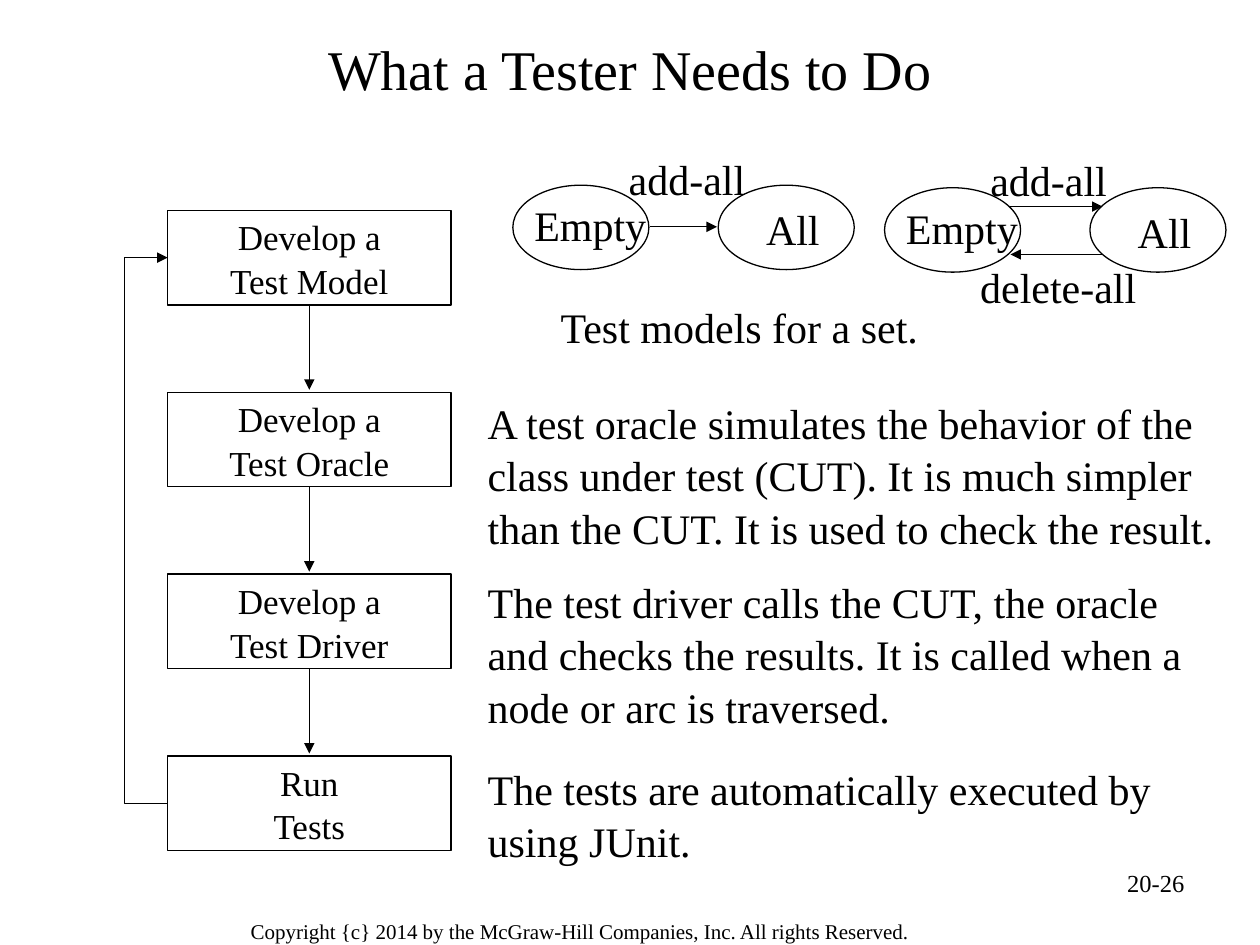
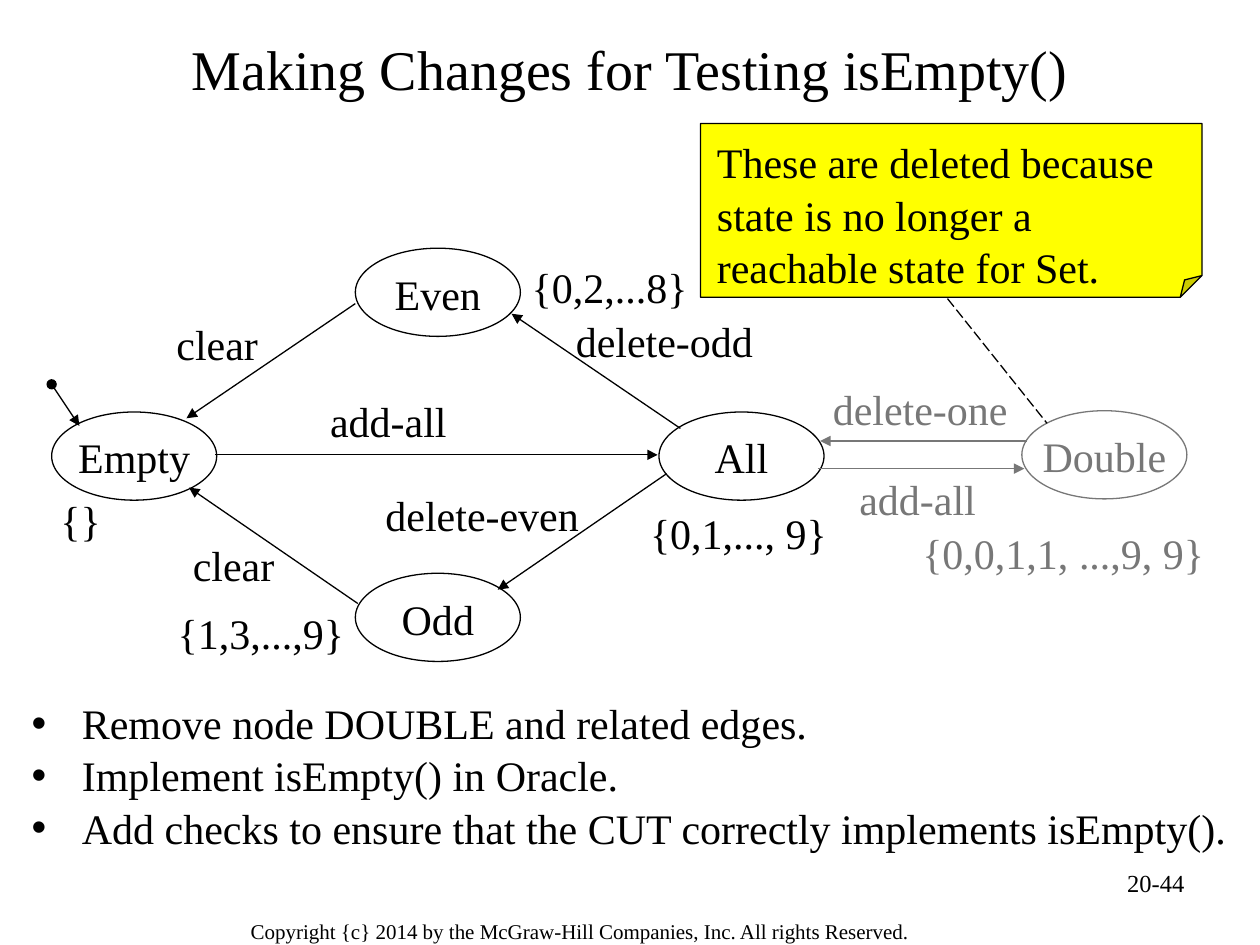
from dataclasses import dataclass

from lxml import etree
from pptx import Presentation
from pptx.dml.color import RGBColor
from pptx.enum import dml, shapes, text
from pptx.oxml import ns
from pptx.util import Inches, Pt


@dataclass(frozen=True)
class Theme:
    font: str = "Times New Roman"
    ink: str = "000000"
    muted: str = "777777"
    note: str = "FFFF00"
    title: int = 32
    body: int = 24
    step: int = 20
    number: int = 14
    copyright: int = 12
    line: float = 0.75
    spacing: float = 1.04


THEME = Theme()
SHAPE = shapes.MSO_SHAPE
LEFT, CENTER, RIGHT = text.PP_ALIGN.LEFT, text.PP_ALIGN.CENTER, text.PP_ALIGN.RIGHT
TOP, MIDDLE = text.MSO_ANCHOR.TOP, text.MSO_ANCHOR.MIDDLE
PLACEHOLDERS = {"title": 0, "body": 1}


def place(slide, kind, at, lines=(), size=THEME.body, color=THEME.ink, align=LEFT,
          anchor=TOP, insets=(0, 0, 0, 0), wrap=False, fill=None):
    """Put a placeholder, a text box (kind None) or a preset shape on the slide."""
    left, top, width, height = [Inches(length) for length in at]
    if kind in PLACEHOLDERS:
        item = slide.placeholders[PLACEHOLDERS[kind]]
        item.left, item.top, item.width, item.height = left, top, width, height
    elif kind is None:
        item = slide.shapes.add_textbox(left, top, width, height)
    else:
        item = slide.shapes.add_shape(kind, left, top, width, height)
        item.shadow.inherit = False
        item.line.color.rgb = RGBColor.from_string(color)
        item.line.width = Pt(THEME.line)
        if fill:
            item.fill.solid()
            item.fill.fore_color.rgb = RGBColor.from_string(fill)
        else:
            item.fill.background()

    frame = item.text_frame
    margins = dict(zip(("margin_left", "margin_top", "margin_right", "margin_bottom"),
                       [Inches(inset) for inset in insets]))
    settings = dict(margins, word_wrap=wrap, vertical_anchor=anchor,
                    auto_size=text.MSO_AUTO_SIZE.NONE)
    for name, value in settings.items():
        setattr(frame, name, value)

    for index, line in enumerate(lines):
        paragraph = frame.add_paragraph() if index else frame.paragraphs[0]
        for name, value in dict(alignment=align, line_spacing=THEME.spacing,
                                space_before=Pt(0)).items():
            setattr(paragraph, name, value)
        run = paragraph.add_run()
        run.text = line
        for name, value in dict(name=THEME.font, size=Pt(size)).items():
            setattr(run.font, name, value)
        run.font.color.rgb = RGBColor.from_string(color)
    return item


def connect(slide, points, color=THEME.ink, head=None, tail="triangle", dash=None):
    """Draw a connector through two points, or an open outline through more."""
    corners = [(Inches(x), Inches(y)) for x, y in points]
    if len(corners) == 2:
        link = slide.shapes.add_connector(shapes.MSO_CONNECTOR.STRAIGHT,
                                          *corners[0], *corners[1])
        etree.SubElement(link._element.spPr, ns.qn("a:effectLst"))
    else:
        builder = slide.shapes.build_freeform(*corners[0])
        builder.add_line_segments(corners[1:], close=False)
        link = builder.convert_to_shape()
        link.fill.background()
        link.shadow.inherit = False
    link.line.color.rgb = RGBColor.from_string(color)
    link.line.width = Pt(THEME.line)
    if dash:
        link.line.dash_style = dash
    outline = link._element.spPr.find(ns.qn("a:ln"))
    for tag, end in (("a:headEnd", head), ("a:tailEnd", tail)):
        if end:
            etree.SubElement(outline, ns.qn(tag), type=end)


deck = Presentation()
deck.slide_width, deck.slide_height = Inches(10), Inches(7.5)

# Title, page number and copyright line of every slide
pages = []
for layout, title, number in (
    (5, "What a Tester Needs to Do", "20-26"),
    (1, "Making Changes for Testing isEmpty()", "20-44"),
):
    page = deck.slides.add_slide(deck.slide_layouts[layout])
    place(page, "title", (0.5, 0.14, 9, 0.78), [title], size=THEME.title,
          align=CENTER, anchor=MIDDLE, wrap=True)
    place(page, None, (7.17, 6.83, 2.33, 0.52), [number], size=THEME.number,
          align=RIGHT, insets=(0.1, 0.05, 0.1, 0.05), wrap=True)
    place(page, None, (1.88, 7.22, 6.19, 0.31),
          ["Copyright {c} 2014 by the McGraw-Hill Companies, Inc. All rights Reserved."],
          size=THEME.copyright, insets=(0.11, 0.06, 0.11, 0.06))
    pages.append(page)
tester, changes = pages

# Slide 1: the four steps, joined downwards and looped back to the first
steps = [("Develop a", "Test Model"), ("Develop a", "Test Oracle"),
         ("Develop a", "Test Driver"), ("Run", "Tests")]
step_left, step_top, step_width, step_height = 1.33, 1.67, 2.25, 0.75
step_pitch = (6 - step_top) / (len(steps) - 1)
step_middle = step_left + step_width / 2
for index, step in enumerate(steps):
    top = step_top + index * step_pitch
    place(tester, SHAPE.RECTANGLE, (step_left, top, step_width, step_height), step,
          size=THEME.step, align=CENTER, anchor=MIDDLE)
    if index:
        connect(tester, [(step_middle, top - step_pitch + step_height),
                         (step_middle, top - 0.02)])
first_y = step_top + step_height / 2
last_y = first_y + (len(steps) - 1) * step_pitch
connect(tester, [(step_left, last_y), (0.99, last_y), (0.99, first_y), (step_left, first_y)])

# Slide 1: two test models of a set
for left, top in ((4.07, 1.47), (7.02, 1.49)):
    for shift, state, label_shift, drop, width in (
        (0, "Empty", 0.17, 0.1, 0.89), (1.63, "All", 2.01, 0.13, 0.43),
    ):
        place(tester, SHAPE.OVAL, (left + shift, top, 1.08, 0.67))
        place(tester, None, (left + label_shift, top + drop, width, 0.4), [state])
for start, end in (((5.16, 1.8), (5.69, 1.8)), ((8.02, 1.64), (8.75, 1.64)),
                   ((8.75, 2.02), (8.02, 2.02))):
    connect(tester, [start, end])
for label, left, top, width in (
    ("add-all", 4.99, 1.2, 0.93),
    ("add-all", 7.86, 1.21, 0.93),
    ("delete-all", 7.78, 2.06, 1.23),
    ("Test models for a set.", 4.45, 2.38, 2.86),
):
    place(tester, None, (left, top, width, 0.4), [label])

# Slide 1: what each further step means
for top, explanation in (
    (3.14, ["A test oracle simulates the behavior of the",
            "class under test (CUT). It is much simpler",
            "than the CUT. It is used to check the result."]),
    (4.56, ["The test driver calls the CUT, the oracle",
            "and checks the results. It is called when a node or arc is traversed."]),
    (6.04, ["The tests are automatically executed by", "using JUnit."]),
):
    place(tester, None, (3.87, top, 5.85, 1.2), explanation, wrap=True)

# Slide 2: states
for state, left, top, color in (
    ("Empty", 0.41, 3.27, THEME.ink),
    ("Odd", 2.82, 4.55, THEME.ink),
    ("Even", 2.82, 1.97, THEME.ink),
    ("All", 5.23, 3.27, THEME.ink),
    ("Double", 8.11, 3.26, THEME.muted),
):
    place(changes, SHAPE.OVAL, (left, top, 1.31, 0.7), [state], color=color,
          align=CENTER, anchor=MIDDLE)

# Slide 2: transitions
for start, end, color in (
    ((1.71, 3.61), (5.22, 3.61), THEME.ink),
    ((2.82, 2.41), (1.48, 3.32), THEME.ink),
    ((2.84, 4.79), (1.5, 3.87), THEME.ink),
    ((5.4, 3.4), (4.06, 2.49), THEME.ink),
    ((5.29, 3.76), (3.95, 4.68), THEME.ink),
    ((8.15, 3.5), (6.51, 3.5), THEME.muted),
    ((6.49, 3.72), (8.13, 3.72), THEME.muted),
):
    connect(changes, [start, end], color)
connect(changes, [(0.41, 3.05), (0.63, 3.38)], head="oval")

# Slide 2: transition names and set contents
for label, left, top, width, color in (
    ("{}", 0.48, 3.91, 0.32, THEME.ink),
    ("{0,1,..., 9}", 5.16, 4.01, 1.4, THEME.ink),
    ("{1,3,...,9}", 1.41, 4.81, 1.32, THEME.ink),
    ("{0,2,...8}", 4.22, 2.06, 1.24, THEME.ink),
    ("delete-odd", 4.57, 2.49, 1.41, THEME.ink),
    ("delete-even", 3.06, 3.87, 1.54, THEME.ink),
    ("clear", 1.53, 4.27, 0.65, THEME.ink),
    ("clear", 1.4, 2.51, 0.65, THEME.ink),
    ("add-all", 2.62, 3.12, 0.93, THEME.ink),
    ("add-all", 6.82, 3.74, 0.93, THEME.muted),
    ("delete-one", 6.61, 3.03, 1.39, THEME.muted),
    ("{0,0,1,1, ...,9, 9}", 7.32, 4.17, 2.22, THEME.muted),
):
    place(changes, None, (left, top, width, 0.4), [label], color=color)

# Slide 2: note on the deleted state, with a small folded corner
note = place(changes, SHAPE.FOLDED_CORNER, (5.56, 0.98, 3.98, 1.38),
             ["These are deleted because state is no longer a reachable state for Set."],
             insets=(0.13, 0.09, 0.13, 0), wrap=True, fill=THEME.note)
fold = note._element.spPr.find(ns.qn("a:prstGeom")).get_or_add_avLst()
etree.SubElement(fold, ns.qn("a:gd"), name="adj", fmla="val 12500")
connect(changes, [(7.52, 2.37), (8.31, 3.36)], tail=None, dash=dml.MSO_LINE.LONG_DASH)

# Slide 2: list of changes
todo = place(changes, "body", (0.25, 5.52, 9.6, 1.2),
             ["Remove node DOUBLE and related edges.",
              "Implement isEmpty() in Oracle.",
              "Add checks to ensure that the CUT correctly implements isEmpty()."], wrap=True)
for change in todo.text_frame.paragraphs:
    properties = change._p.get_or_add_pPr()
    properties.set("marL", str(Inches(0.4)))
    properties.set("indent", str(Inches(-0.4)))

deck.save("out.pptx")
